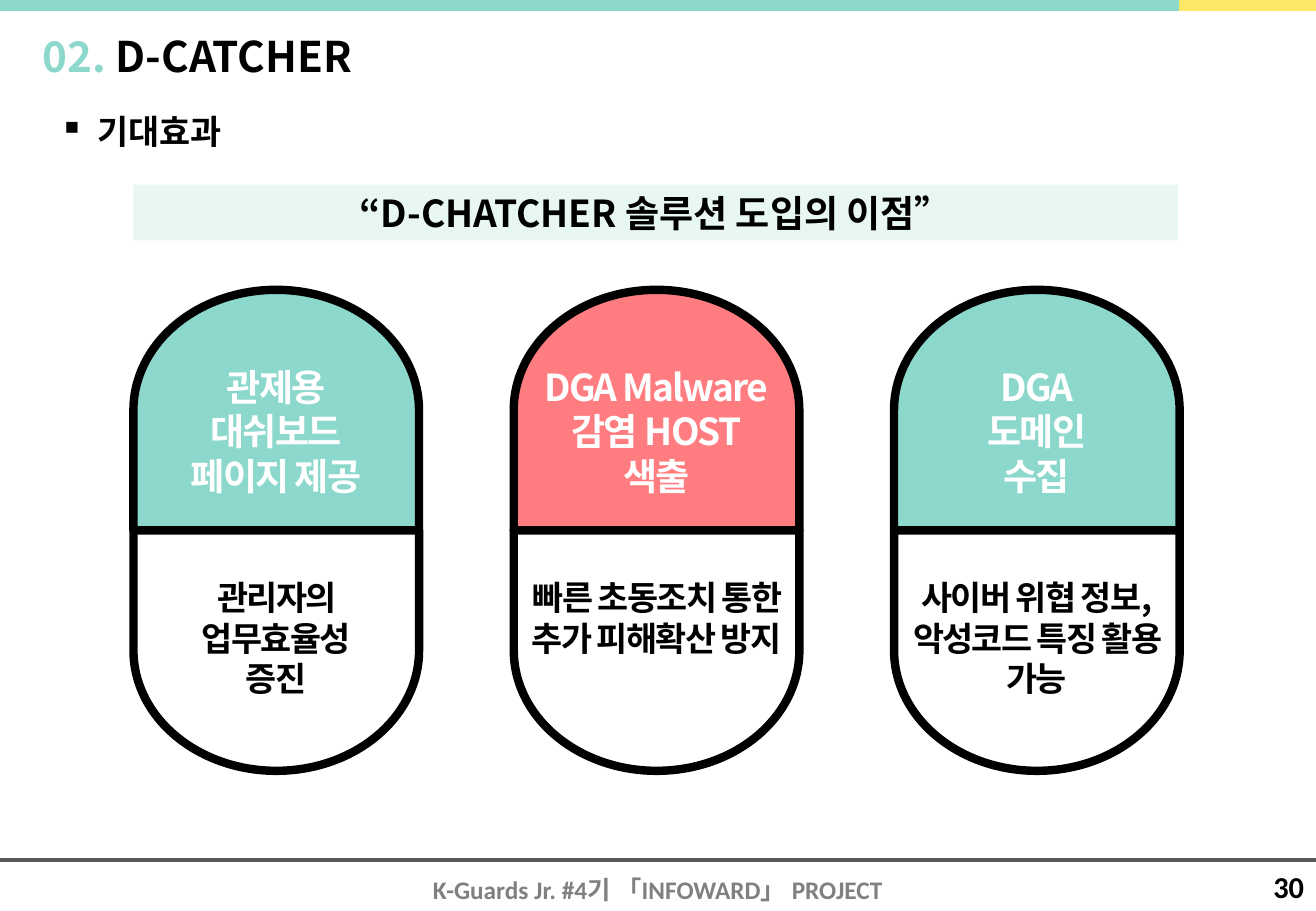
from lxml.etree import SubElement
from pptx import Presentation
from pptx.dml.color import RGBColor
from pptx.enum.shapes import MSO_CONNECTOR, MSO_SHAPE
from pptx.enum.text import MSO_ANCHOR, MSO_AUTO_SIZE, PP_ALIGN
from pptx.oxml.ns import qn
from pptx.util import Cm, Pt

MINT = RGBColor(0x8D, 0xD8, 0xCC)
CORAL = RGBColor(0xFF, 0x7C, 0x80)
YELLOW = RGBColor(0xFF, 0xE7, 0x66)
BLACK = RGBColor(0, 0, 0)
WHITE = RGBColor(0xFF, 0xFF, 0xFF)
GRAY = RGBColor(0x80, 0x80, 0x80)
DARK_GRAY = RGBColor(0x59, 0x59, 0x59)

KOREAN_FONT = "Noto Sans CJK KR"
FOOTER_FONT = "Calibri"
LINE_HEIGHT = 1.2

SLIDE_WIDTH, SLIDE_HEIGHT = 27.51, 19.05
CAPSULE_LEFT, CAPSULE_PITCH = 2.79, 7.95
CAPSULE_TOP, CAPSULE_WIDTH, HALF_HEIGHT = 6.06, 5.97, 5.03

BENEFITS = [
    (MINT, ["관제용", "대쉬보드", "페이지 제공"], ["관리자의 업무효율성", "증진"]),
    (CORAL, ["DGA Malware", "감염 HOST", "색출"],
     ["빠른 초동조치 통한 추가 피해확산 방지"]),
    (MINT, ["DGA", "도메인", "수집"],
     ["사이버 위협 정보,", "악성코드 특징 활용 가능"]),
]


def add_run(paragraph, text, size, color, font_name=KOREAN_FONT, spacing=None):
    run = paragraph.add_run()
    run.text = text
    font = run.font
    font.size, font.bold, font.name = Pt(size), True, font_name
    font.color.rgb = color
    properties = run._r.get_or_add_rPr()
    SubElement(properties, qn("a:ea"), typeface=KOREAN_FONT)
    if spacing is not None:
        properties.set("spc", str(spacing * 100))


def format_paragraph(paragraph, size, alignment):
    paragraph.alignment = alignment
    paragraph.line_spacing = Pt(size * LINE_HEIGHT)


def place(shape, left, top, width, height):
    shape.left, shape.top = Cm(left), Cm(top)
    shape.width, shape.height = Cm(width), Cm(height)


def add_text(slide, box, lines, size, color, font_name=KOREAN_FONT, spacing=None,
             alignment=PP_ALIGN.CENTER, anchor=MSO_ANCHOR.MIDDLE):
    text_box = slide.shapes.add_textbox(*map(Cm, box))
    frame = text_box.text_frame
    frame.word_wrap = True
    frame.vertical_anchor = anchor
    for index, line in enumerate(lines):
        paragraph = frame.add_paragraph() if index else frame.paragraphs[0]
        format_paragraph(paragraph, size, alignment)
        add_run(paragraph, line, size, color, font_name, spacing)
    return text_box


def add_rule(slide, left, right, height, color, weight):
    rule = slide.shapes.add_connector(
        MSO_CONNECTOR.STRAIGHT, Cm(left), Cm(height), Cm(right), Cm(height))
    rule.line.color.rgb = color
    rule.line.width = Pt(weight)
    SubElement(rule._element.spPr, qn("a:effectLst"))


def add_title(slide):
    title = slide.shapes.title
    place(title, 0.64, 0.43, 22.02, 1.47)
    frame = title.text_frame
    frame.auto_size = MSO_AUTO_SIZE.NONE
    frame.vertical_anchor = MSO_ANCHOR.MIDDLE
    paragraph = frame.paragraphs[0]
    format_paragraph(paragraph, 25, PP_ALIGN.JUSTIFY)
    add_run(paragraph, "02. ", 25, MINT)
    add_run(paragraph, "D-CATCHER", 25, BLACK)


def add_bullet_heading(slide):
    heading = add_text(slide, (0.99, 2.11, 17.15, 1.27), ["기대효과"], 20, BLACK,
                       alignment=PP_ALIGN.JUSTIFY)
    properties = heading.text_frame.paragraphs[0]._p.get_or_add_pPr()
    indent = Cm(0.79)
    properties.set("marL", str(indent))
    properties.set("indent", str(-indent))
    SubElement(properties, qn("a:buChar"), char="▪")


def add_banner(slide):
    banner = slide.shapes.add_shape(
        MSO_SHAPE.RECTANGLE, Cm(2.79), Cm(3.86), Cm(21.84), Cm(1.17))
    banner.shadow.inherit = False
    banner.fill.solid()
    banner.fill.fore_color.rgb = MINT
    color = banner._element.spPr.find(qn("a:solidFill"))[0]
    SubElement(color, qn("a:alpha"), val="20000")
    banner.line.fill.background()
    frame = banner.text_frame
    frame.vertical_anchor = MSO_ANCHOR.MIDDLE
    paragraph = frame.paragraphs[0]
    format_paragraph(paragraph, 22, PP_ALIGN.CENTER)
    add_run(paragraph, "“D-CHATCHER 솔루션 도입의 이점”", 22, BLACK)


def add_capsule(slide, left, top_color):
    """Two half capsules, each a delay shape turned by a quarter."""
    group = slide.shapes.add_group_shape()
    turn_shift = (CAPSULE_WIDTH - HALF_HEIGHT) / 2
    for row, (color, rotation) in enumerate([(top_color, 270), (WHITE, 90)]):
        half = group.shapes.add_shape(
            MSO_SHAPE.FLOWCHART_DELAY,
            Cm(left + turn_shift), Cm(CAPSULE_TOP + row * HALF_HEIGHT - turn_shift),
            Cm(HALF_HEIGHT), Cm(CAPSULE_WIDTH))
        half.rotation = rotation
        half.shadow.inherit = False
        half.fill.solid()
        half.fill.fore_color.rgb = color
        half.line.color.rgb = BLACK
        half.line.width = Pt(5)


def add_benefit(slide, left, color, heading, effect):
    add_capsule(slide, left, color)
    add_text(slide, (left, 11.94, CAPSULE_WIDTH, 2.77), effect, 20, BLACK,
             spacing=-1, anchor=MSO_ANCHOR.TOP)
    add_text(slide, (left, 7.49, CAPSULE_WIDTH, 3.05), heading, 22, WHITE,
             spacing=-1, anchor=MSO_ANCHOR.TOP)


def add_frame(slide):
    """Top bars, footer rule, footer text and page number."""
    add_text(slide, (8.2, 18.14, 11.1, 0.91), ["K-Guards Jr. #4기 「INFOWARD」 PROJECT"],
             15, GRAY, FOOTER_FONT)
    number = add_text(slide, (26.24, 18.03, 1.4, 1.02), ["30"], 18, BLACK, FOOTER_FONT)
    number.text_frame.word_wrap = False
    add_rule(slide, 0, SLIDE_WIDTH, 17.98, DARK_GRAY, 2)
    add_rule(slide, 0, SLIDE_WIDTH, 0.1, MINT, 7)
    add_rule(slide, 24.64, SLIDE_WIDTH, 0.1, YELLOW, 7)


def main():
    presentation = Presentation()
    presentation.slide_width = Cm(SLIDE_WIDTH)
    presentation.slide_height = Cm(SLIDE_HEIGHT)
    slide = presentation.slides.add_slide(presentation.slide_layouts[5])
    add_frame(slide)
    add_title(slide)
    add_bullet_heading(slide)
    add_banner(slide)
    for column, benefit in enumerate(BENEFITS):
        add_benefit(slide, CAPSULE_LEFT + column * CAPSULE_PITCH, *benefit)
    presentation.save("out.pptx")


if __name__ == "__main__":
    main()
